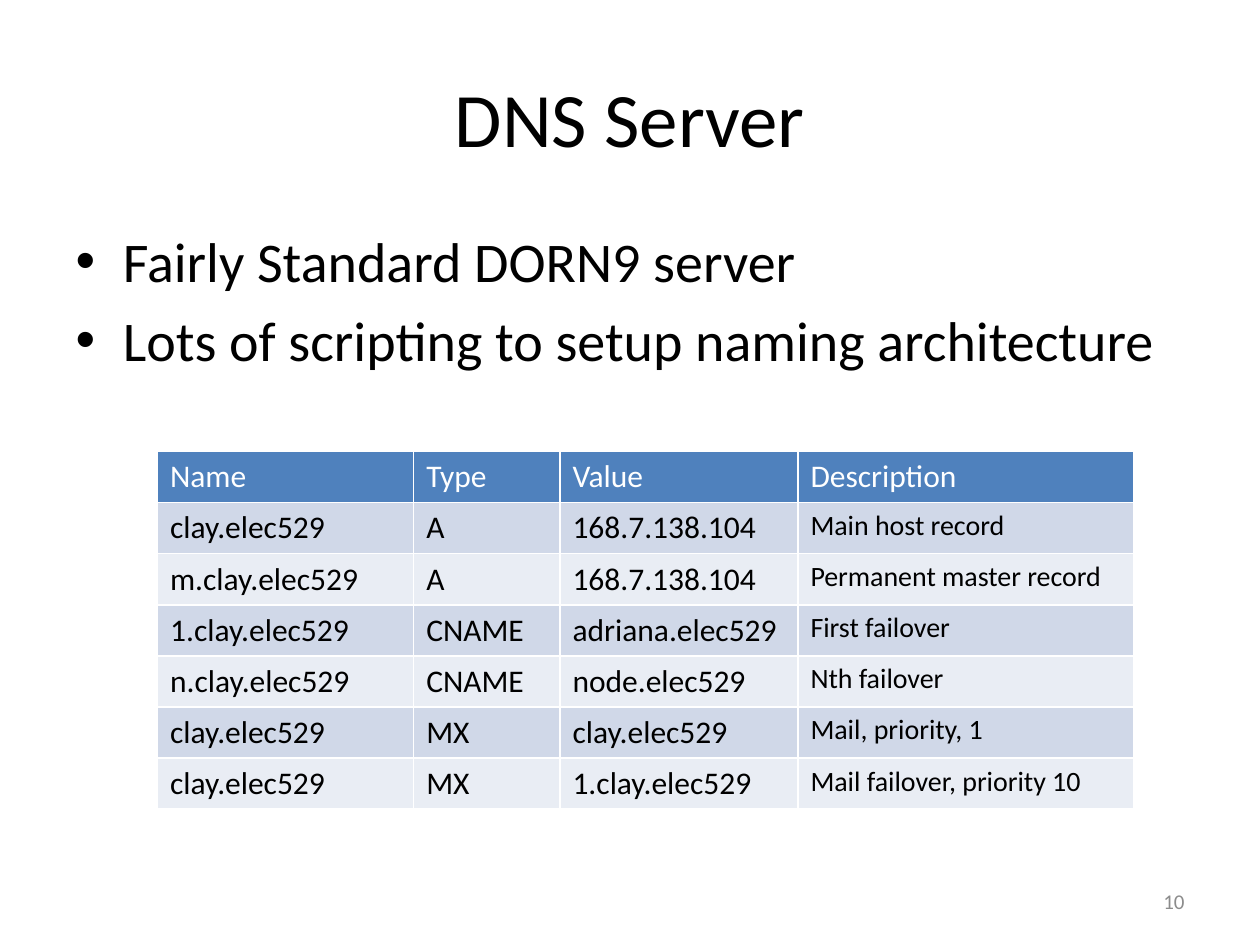
from pptx import Presentation
from pptx.dml.color import RGBColor
from pptx.enum.text import MSO_ANCHOR as Anchor, PP_ALIGN as Align
from pptx.util import Pt


def color(hex_string):
    return RGBColor.from_string(hex_string)


def write(paragraph, text, size=18, fill="000000", align=Align.LEFT):
    paragraph.alignment = align
    run = paragraph.add_run()
    run.text = text
    run.font.name = "Calibri"
    run.font.size = Pt(size)
    run.font.bold = False
    run.font.color.rgb = color(fill)


presentation = Presentation()
presentation.slide_width, presentation.slide_height = Pt(720), Pt(540)
slide = presentation.slides.add_slide(presentation.slide_layouts[1])

# Title
title = slide.shapes.title
title.left, title.top, title.width, title.height = Pt(36), Pt(21.6), Pt(648), Pt(90)
title.text_frame.vertical_anchor = Anchor.MIDDLE
write(title.text_frame.paragraphs[0], "DNS Server", size=44, align=Align.CENTER)

# Bullet list
body = slide.placeholders[1]
body.left, body.top, body.width, body.height = Pt(36), Pt(126), Pt(648), Pt(356.4)
bullets = ["Fairly Standard DORN9 server", "Lots of scripting to setup naming architecture"]
for index, text in enumerate(bullets):
    frame = body.text_frame
    paragraph = frame.add_paragraph() if index else frame.paragraphs[0]
    write(paragraph, text, size=32)

# Slide number
number = slide.shapes.add_textbox(Pt(516), Pt(500.5), Pt(168), Pt(28.75))
number.text_frame.word_wrap = True
number.text_frame.vertical_anchor = Anchor.MIDDLE
write(number.text_frame.paragraphs[0], "10", size=12, fill="8C8C8C", align=Align.RIGHT)

# DNS records; the default table style supplies the white borders
records = [
    ("Name", "Type", "Value", "Description"),
    ("clay.elec529", "A", "168.7.138.104", "Main host record"),
    ("m.clay.elec529", "A", "168.7.138.104", "Permanent master record"),
    ("1.clay.elec529", "CNAME", "adriana.elec529", "First failover"),
    ("n.clay.elec529", "CNAME", "node.elec529", "Nth failover"),
    ("clay.elec529", "MX", "clay.elec529", "Mail, priority, 1"),
    ("clay.elec529", "MX", "1.clay.elec529", "Mail failover, priority 10"),
]
column_widths = [146.4, 83.6, 136, 192]
row_height = 29.2
table = slide.shapes.add_table(
    len(records), len(column_widths), Pt(90), Pt(258),
    Pt(sum(column_widths)), Pt(row_height * len(records))).table
for column, width in zip(table.columns, column_widths):
    column.width = Pt(width)

for row_index, record in enumerate(records):
    table.rows[row_index].height = Pt(row_height)
    is_header = row_index == 0
    band = "4F81BD" if is_header else ("E9EDF4", "D0D8E8")[row_index % 2]
    for column_index, text in enumerate(record):
        cell = table.cell(row_index, column_index)
        cell.fill.solid()
        cell.fill.fore_color.rgb = color(band)
        is_description = column_index == 3 and not is_header
        write(cell.text_frame.paragraphs[0], text,
              size=16 if is_description else 18,
              fill="FFFFFF" if is_header else "000000")

presentation.save("out.pptx")
